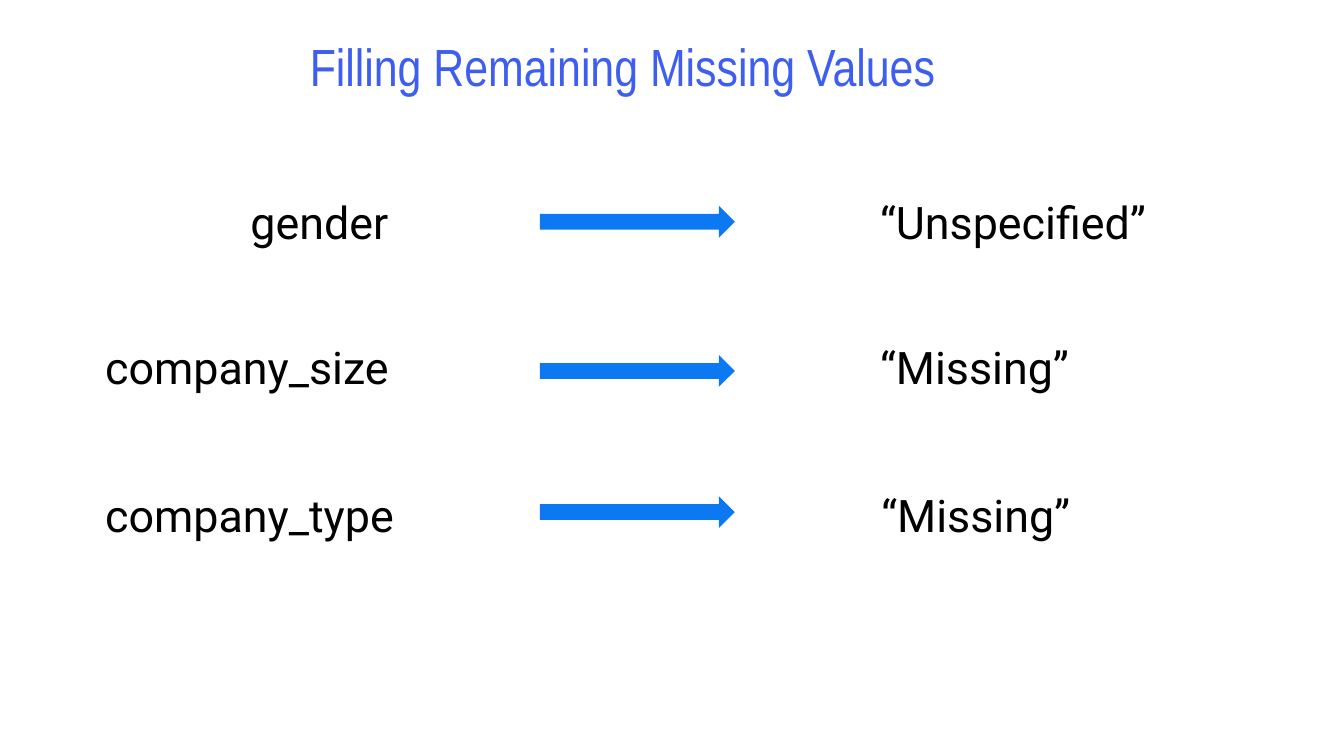
from pptx import Presentation
from pptx import util as u
from pptx.dml.color import RGBColor
from pptx.enum import shapes, text

EMU_PER_PX = 4572  # 200 px to the inch

TITLE = {"size": u.Pt(28), "name": "Arial Narrow"}
LABEL = {"size": u.Pt(24), "name": "Roboto"}
BLUE, ARROW_BLUE, BLACK = "3E5EEF", "0C79F3", "000000"

TEXT_HEIGHT, LABEL_WIDTH = 106, 574
ARROW_LEFT, ARROW_WIDTH, ARROW_LENGTH = 925, 47, 290

# column, its left, its fill value, the value's left, text top, arrow top
ROWS = [
    ("gender", 353, "“Unspecified”", 1290, 277, 185),
    ("company_size", 137, "“Missing”", 1290, 493, 407),
    ("company_type", 137, "“Missing”", 1292, 713, 617),
]


def px(length):
    return u.Emu(length * EMU_PER_PX)


def color(value):
    return RGBColor.from_string(value)


def add_text(slide, words, left, top, width, font, font_color, alignment):
    box = slide.shapes.add_textbox(px(left), px(top), px(width), px(TEXT_HEIGHT))
    frame_format = {
        "word_wrap": True,
        "vertical_anchor": text.MSO_ANCHOR.MIDDLE,
        **{f"margin_{side}": px(20) for side in ("left", "top", "right", "bottom")},
    }
    for name, value in frame_format.items():
        setattr(box.text_frame, name, value)
    paragraph = box.text_frame.paragraphs[0]
    paragraph.alignment = alignment
    run = paragraph.add_run()
    run.text = words
    for name, value in font.items():
        setattr(run.font, name, value)
    run.font.color.rgb = color(font_color)


def add_arrow(slide, top):
    """Add a down arrow turned to point right."""
    arrow = slide.shapes.add_shape(
        shapes.MSO_SHAPE.DOWN_ARROW,
        px(ARROW_LEFT), px(top), px(ARROW_WIDTH), px(ARROW_LENGTH),
    )
    arrow.rotation = 270
    arrow.shadow.inherit = False
    arrow.fill.solid()
    arrow.fill.fore_color.rgb = color(ARROW_BLUE)
    arrow.line.fill.background()


def main():
    presentation = Presentation()
    presentation.slide_width, presentation.slide_height = px(2000), px(1125)
    slide = presentation.slides.add_slide(presentation.slide_layouts[6])

    add_text(slide, "Filling Remaining Missing Values", 242, 44, 1368,
             TITLE, BLUE, text.PP_ALIGN.CENTER)
    for column, column_left, value, value_left, text_top, arrow_top in ROWS:
        for words, left in ((column, column_left), (value, value_left)):
            add_text(slide, words, left, text_top, LABEL_WIDTH,
                     LABEL, BLACK, text.PP_ALIGN.LEFT)
        add_arrow(slide, arrow_top)

    presentation.save("out.pptx")


if __name__ == "__main__":
    main()
